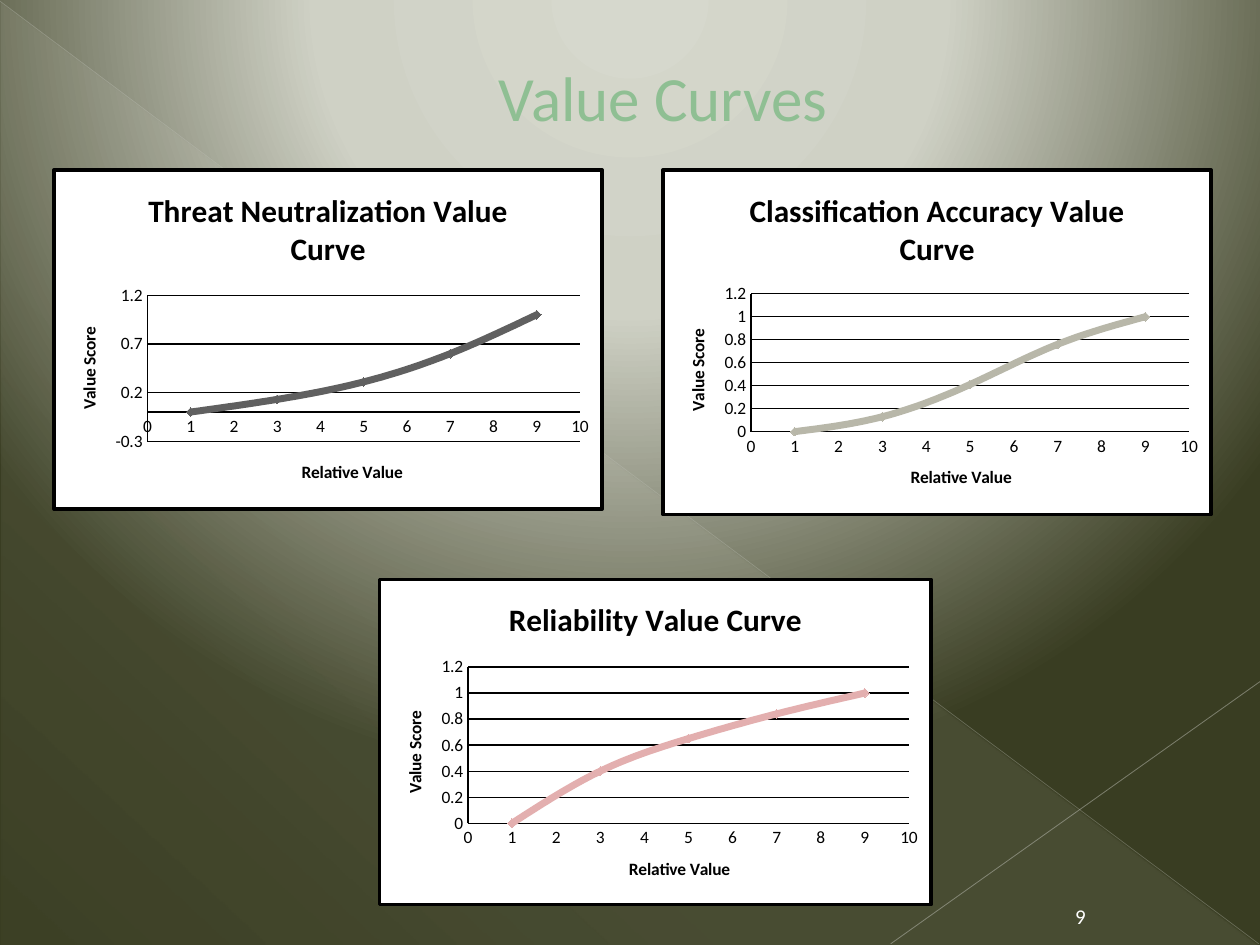
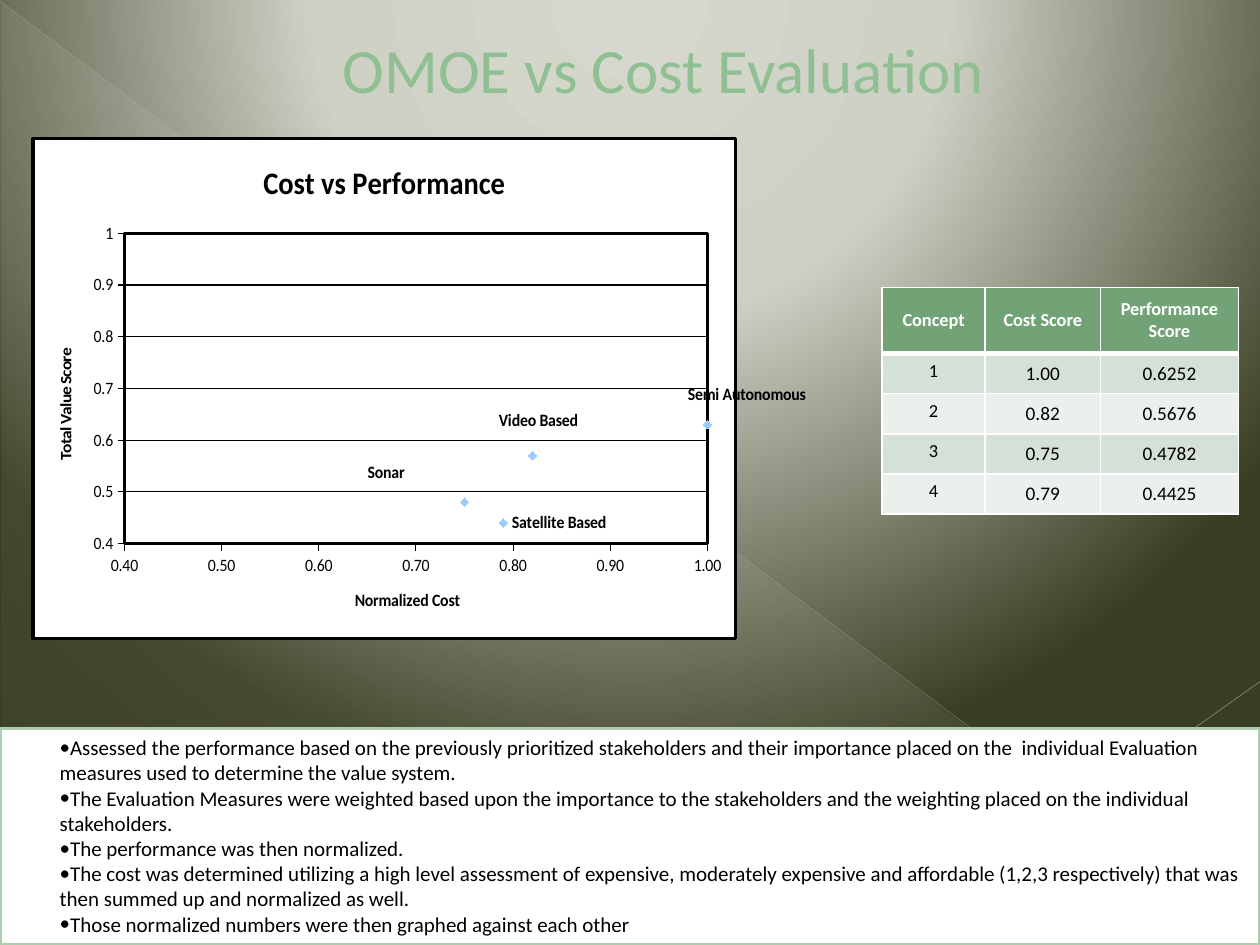
from pptx import Presentation
from pptx.chart.data import XyChartData
from pptx.dml.color import RGBColor
from pptx.enum.chart import XL_CHART_TYPE, XL_LABEL_POSITION, XL_MARKER_STYLE, XL_TICK_MARK
from pptx.enum.shapes import MSO_CONNECTOR, MSO_SHAPE
from pptx.enum.text import MSO_ANCHOR, PP_ALIGN
from pptx.oxml import parse_xml
from pptx.oxml.ns import nsdecls, qn
from pptx.util import Pt

LEFT, CENTER = PP_ALIGN.LEFT, PP_ALIGN.CENTER
TOP, MIDDLE, BOTTOM = MSO_ANCHOR.TOP, MSO_ANCHOR.MIDDLE, MSO_ANCHOR.BOTTOM
SMOOTH, DOTS = XL_CHART_TYPE.XY_SCATTER_SMOOTH, XL_CHART_TYPE.XY_SCATTER
NONE, OUT = XL_TICK_MARK.NONE, XL_TICK_MARK.OUTSIDE
DIAMOND, RIGHT = XL_MARKER_STYLE.DIAMOND, XL_LABEL_POSITION.RIGHT
STRAIGHT = MSO_CONNECTOR.STRAIGHT
RECT, WEDGE = MSO_SHAPE.RECTANGLE, MSO_SHAPE.RIGHT_TRIANGLE
NS = nsdecls("a", "c")
NS15 = 'xmlns:c15="http://schemas.microsoft.com/office/drawing/2012/chart"'


class Theme:
    font = "Calibri"
    black, white = "000000", "FFFFFF"
    title, head, edge = "8FBF93", "72A376", "B0CCB0"
    bands = ("D5E0D6", "EBF0EC")
    gray, sand, rose, sky = "606060", "B8B7A9", "E3AFAF", "99CCFF"
    back = (("D6D8CD", 0, 100), ("CFD1C5", 40, 100), ("393D22", 100, 100))
    haze = (("EAEBDE", 0, 10), ("EAEBDE", 70, 8), ("EAEBDE", 100, 1))
    rays = (
        ((0, 0.7), (719.3, 539.3), "C1C3B9", 0.39, 35),
        ((720, 389.5), (509, 539.3), "C8C9C1", 0.47, 45),
    )
    big, chart, body, score, small, tiny = 36, 18, 12, 11, 10.5, 10


def write(para, text, size, color, bold=False, align=CENTER):
    para.alignment = align
    run = para.add_run()
    run.text = text
    run.font.name = Theme.font
    run.font.size = Pt(size)
    run.font.bold = bold
    run.font.color.rgb = RGBColor.from_string(color)


def grad(stops, shade):
    marks = "".join(
        f'<a:gs pos="{pos * 1000}"><a:srgbClr val="{color}">'
        f'<a:alpha val="{alpha * 1000}"/></a:srgbClr></a:gs>'
        for color, pos, alpha in stops
    )
    return parse_xml(f'<a:gradFill {NS} rotWithShape="1"><a:gsLst>{marks}</a:gsLst>{shade}</a:gradFill>')


deck = Presentation()
deck.slide_width, deck.slide_height = Pt(720), Pt(540)

ring = '<a:path path="circle"><a:fillToRect l="50000" t="-80000" r="50000" b="180000"/></a:path>'
slant = f'<a:lin ang="{133 * 60000}" scaled="0"/>'

slides = []
for title, high in (("Value Curves", 110), ("OMOE vs Cost Evaluation", 78)):
    slide = deck.slides.add_slide(deck.slide_layouts[6])
    slides.append(slide)
    slide.background.fill.solid()
    fill = next(slide.background._cSld.iter(qn("a:solidFill")))
    fill.getparent().replace(fill, grad(Theme.back, ring))

    wedge = slide.shapes.add_shape(WEDGE, Pt(0.7), Pt(1.4), Pt(718.6), Pt(538.6))
    wedge.shadow.inherit = False
    wedge.line.fill.background()
    wedge.fill.solid()
    fill = wedge._element.spPr.find(qn("a:solidFill"))
    fill.getparent().replace(fill, grad(Theme.haze, slant))

    for start, end, color, width, alpha in Theme.rays:
        ray = slide.shapes.add_connector(STRAIGHT, *map(Pt, start + end))
        ray.line.color.rgb = RGBColor.from_string(color)
        ray.line.width = Pt(width)
        tint = next(ray._element.iter(qn("a:srgbClr")))
        tint.append(parse_xml(f'<a:alpha {NS} val="{alpha * 1000}"/>'))
        ray._element.spPr.append(parse_xml(f"<a:effectLst {NS}/>"))

    frame = slide.shapes.add_textbox(0, 0, Pt(720), Pt(high)).text_frame
    frame.word_wrap = True
    frame.vertical_anchor = MIDDLE
    para = frame.paragraphs[0]
    para._p.get_or_add_pPr().set("marL", str(Pt(38)))
    write(para, title, Theme.big, Theme.title)

curves, costs = slides

frame = curves.shapes.add_textbox(Pt(597.6), Pt(510.5), Pt(39.6), Pt(23.8)).text_frame
frame.word_wrap = True
frame.vertical_anchor = BOTTOM
write(frame.paragraphs[0], "9", Theme.body, Theme.white)

rows = (
    ("Concept", "Cost Score", "Performance\nScore"),
    ("1", "1.00", "0.6252"),
    ("2", "0.82", "0.5676"),
    ("3", "0.75", "0.4782"),
    ("4", "0.79", "0.4425"),
)
wides = (59, 65.8, 79)
highs = (37.5, 23, 23, 23, 23)
table = costs.shapes.add_table(5, 3, Pt(504), Pt(164.4), Pt(sum(wides)), Pt(sum(highs))).table
for col, wide in zip(table.columns, wides):
    col.width = Pt(wide)
for r, row in enumerate(rows):
    table.rows[r].height = Pt(highs[r])
    for c, text in enumerate(row):
        cell = table.cell(r, c)
        cell.vertical_anchor = TOP if r and not c else MIDDLE
        if r and c:
            cell.margin_left = cell.margin_right = cell.margin_top = cell.margin_bottom = 0
        for side in "LRTB":
            thick = 3 if (r, side) in ((0, "B"), (1, "T")) else 1
            cell._tc.get_or_add_tcPr().append(parse_xml(
                f'<a:ln{side} {NS} w="{Pt(thick)}"><a:solidFill>'
                f'<a:srgbClr val="{Theme.white}"/></a:solidFill></a:ln{side}>'
            ))
        cell.fill.solid()
        cell.fill.fore_color.rgb = RGBColor.from_string(Theme.bands[(r - 1) % 2] if r else Theme.head)
        for i, part in enumerate(text.split("\n")):
            para = cell.text_frame.add_paragraph() if i else cell.text_frame.paragraphs[0]
            size = Theme.score if r and c else Theme.small
            write(para, part, size, Theme.black if r else Theme.white, bold=not r)

notes = (
    ("Assessed the performance based on the previously prioritized stakeholders and their importance placed on the  individual Evaluation",
     "measures used to determine the value system."),
    ("The Evaluation Measures were weighted based upon the importance to the stakeholders and the weighting placed on the individual",
     "stakeholders."),
    ("The performance was then normalized.",),
    ("The cost was determined utilizing a high level assessment of expensive, moderately expensive and affordable (1,2,3 respectively) that was",
     "then summed up and normalized as well."),
    ("Those normalized numbers were then graphed against each other",),
)
panel = costs.shapes.add_shape(RECT, 0, Pt(416.3), Pt(720), Pt(123.7))
panel.shadow.inherit = False
panel.fill.solid()
panel.fill.fore_color.rgb = RGBColor.from_string(Theme.white)
panel.line.color.rgb = RGBColor.from_string(Theme.edge)
panel.line.width = Pt(2)
frame = panel.text_frame
frame.word_wrap = True
frame.vertical_anchor = TOP
para = frame.paragraphs[0]
for n, note in enumerate(notes):
    for i, text in enumerate(note):
        if n or i:
            para = frame.add_paragraph()
        prop = para._p.get_or_add_pPr()
        prop.set("marL", str(Pt(9)))
        prop.set("indent", str(Pt(18)))
        marks = ("buNone",) if i else (f'buFont typeface="{Theme.font}"', 'buChar char="•"')
        for mark in marks:
            prop.append(parse_xml(f"<a:{mark} {NS}/>"))
        write(para, text, Theme.body, Theme.black, align=LEFT)

odds = (9, 7, 5, 3, 1)
unit = (0, 10, 1, "General")
span = (0, 1.2, 0.2, "General")
plans = (
    (curves, SMOOTH, (30, 96, 315, 196), "Threat Neutralization Value Curve",
     "Relative Value", "Value Score", odds, (1, 0.6, 0.31, 0.13, 0),
     unit, (-0.3, 1.2, 0.5, "General"), Theme.gray, (0.17, 0.37, 0.79, 0.43)),
    (curves, SMOOTH, (378, 96, 315, 199), "Classification Accuracy Value Curve",
     "Relative Value", "Value Score", odds, (1, 0.76, 0.41, 0.13, 0),
     unit, span, Theme.sand, (0.16, 0.36, 0.8, 0.4)),
    (curves, SMOOTH, (216, 330, 317, 188), "Reliability Value Curve",
     "Relative Value", "Value Score", odds, (1, 0.84, 0.65, 0.4, 0),
     unit, span, Theme.rose, (0.16, 0.27, 0.8, 0.48)),
    (costs, DOTS, (18, 78, 444, 288), "Cost vs Performance",
     "Normalized Cost", "Total Value Score", (1, 0.82, 0.75, 0.79), (0.63, 0.57, 0.48, 0.44),
     (0.4, 1, 0.1, "0.00"), (0.4, 1, 0.1, "General"), Theme.sky, (0.13, 0.19, 0.83, 0.62)),
)
tags = (
    ("Semi Autonomous", -0.04, -0.06),
    ("Video Based", -0.06, -0.07),
    ("Sonar", -0.15, -0.06),
    ("Satellite Based", 0, 0),
)
for slide, kind, place, title, base, side, xs, ys, across, up, color, inner in plans:
    data = XyChartData()
    points = data.add_series("Series 1")
    for x, y in zip(xs, ys):
        points.add_data_point(x, y)
    chart = slide.shapes.add_chart(kind, *map(Pt, place), data).chart
    chart.has_legend = False
    chart.font.name = Theme.font
    chart.font.size = Pt(Theme.tiny)
    chart.font.color.rgb = RGBColor.from_string(Theme.black)
    write(chart.chart_title.text_frame.paragraphs[0], title, Theme.chart, Theme.black, True)

    for axis, label, scale in ((chart.category_axis, base, across), (chart.value_axis, side, up)):
        axis.minimum_scale, axis.maximum_scale, axis.major_unit, shown = scale
        axis.tick_labels.number_format = shown
        axis.tick_labels.number_format_is_linked = False
        axis.has_major_gridlines = axis.has_minor_gridlines = False
        axis.major_tick_mark = NONE if kind == SMOOTH else OUT
        axis.minor_tick_mark = NONE
        axis.format.line.color.rgb = RGBColor.from_string(Theme.black)
        axis.format.line.width = Pt(0.75)
        write(axis.axis_title.text_frame.paragraphs[0], label, Theme.tiny, Theme.black, True)
    turn = axis.axis_title.text_frame._element.bodyPr
    turn.set("rot", str(-90 * 60000))
    turn.set("vert", "horz")
    axis.has_major_gridlines = True
    axis.major_gridlines.format.line.color.rgb = RGBColor.from_string(Theme.black)
    axis.major_gridlines.format.line.width = Pt(0.75)

    plot = chart.plots[0]
    plot.vary_by_categories = False
    line = plot.series[0]
    for old in line._element.findall(qn("c:smooth")):
        line._element.remove(old)
    line._element.append(parse_xml(f'<c:smooth {NS} val="{int(kind == SMOOTH)}"/>'))
    line.marker.style = DIAMOND
    line.marker.size = 5
    line.marker.format.fill.solid()
    line.marker.format.fill.fore_color.rgb = RGBColor.from_string(color)
    line.marker.format.line.color.rgb = RGBColor.from_string(color)
    if kind == SMOOTH:
        line.format.line.color.rgb = RGBColor.from_string(color)
        line.format.line.width = Pt(4)
    else:
        line.format.line.fill.background()
        for i, (text, dx, dy) in enumerate(tags):
            tag = line.points[i].data_label
            write(tag.text_frame.paragraphs[0], text, Theme.tiny, Theme.black, True)
            tag.position = RIGHT
        for node, (text, dx, dy) in zip(line._element.iter(qn("c:dLbl")), tags):
            node.insert(1, parse_xml(
                f'<c:layout {NS}><c:manualLayout><c:x val="{dx}"/><c:y val="{dy}"/></c:manualLayout></c:layout>'
            ))
        group = line._element.find(qn("c:dLbls"))
        for lead in group.findall(qn("c:showLeaderLines")):
            lead.set("val", "0")
        group.append(parse_xml(
            f'<c:extLst {NS}><c:ext uri="{{CE6537A1-D6FC-4f65-9D91-7224C49458BB}}" {NS15}>'
            '<c15:showLeaderLines val="0"/></c:ext></c:extLst>'
        ))

    root = chart.element.find(qn("c:chart"))
    area = root.find(qn("c:plotArea"))
    for old in area.findall(qn("c:layout")):
        area.remove(old)
    sizes = "".join(f'<c:{key} val="{val}"/>' for key, val in zip("xywh", inner))
    area.insert(0, parse_xml(
        f'<c:layout {NS}><c:manualLayout><c:layoutTarget val="inner"/><c:xMode val="edge"/>'
        f'<c:yMode val="edge"/>{sizes}</c:manualLayout></c:layout>'
    ))
    rim = Theme.white if kind == SMOOTH else Theme.black
    wall, card = (
        parse_xml(
            f'<c:spPr {NS}><a:solidFill><a:srgbClr val="{Theme.white}"/></a:solidFill>'
            f'<a:ln w="{Pt(2)}"><a:solidFill><a:srgbClr val="{tone}"/></a:solidFill></a:ln></c:spPr>'
        )
        for tone in (rim, Theme.black)
    )
    area.append(wall)
    root.addnext(card)
    root.addprevious(parse_xml(f'<c:roundedCorners {NS} val="0"/>'))

deck.save("out.pptx")
